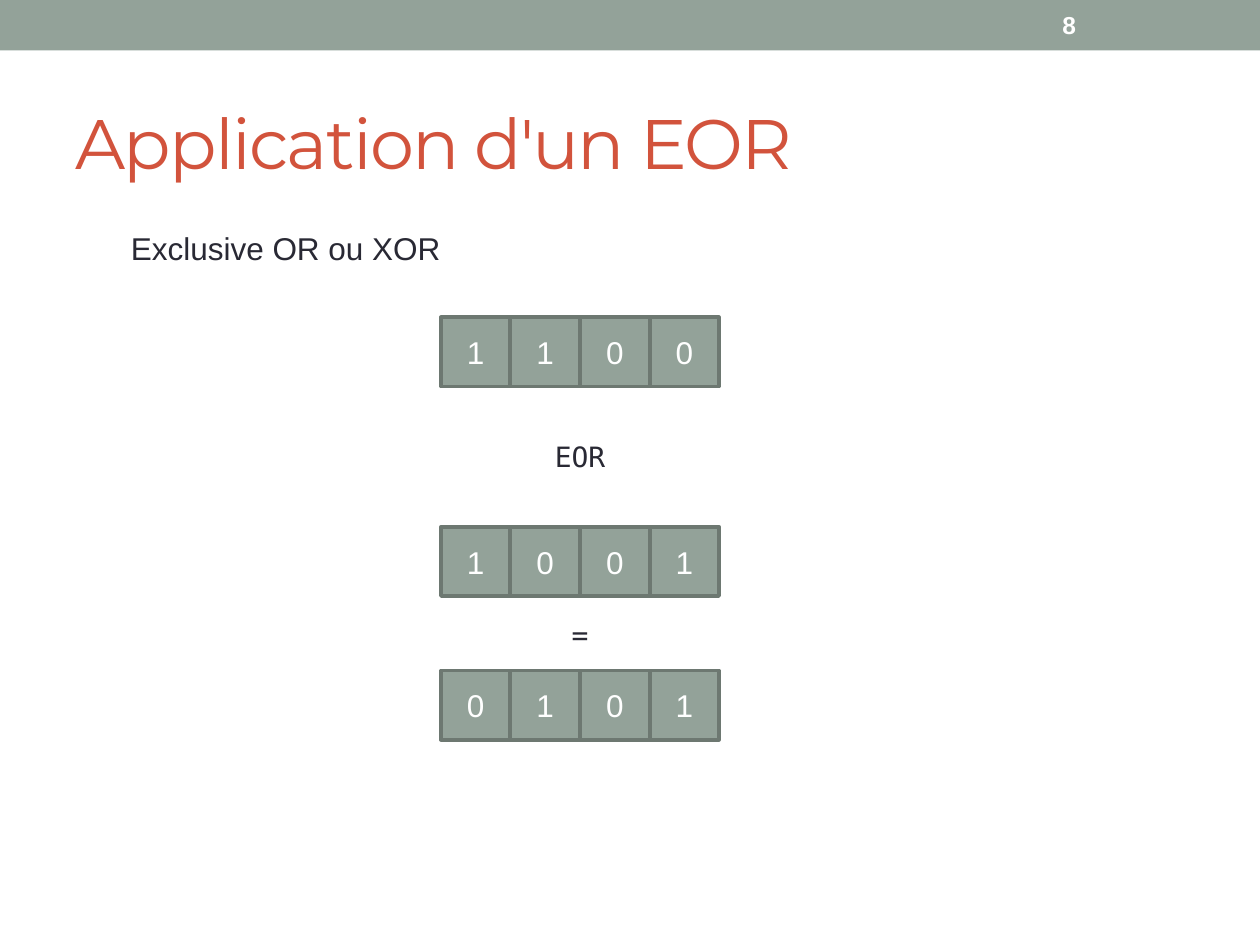
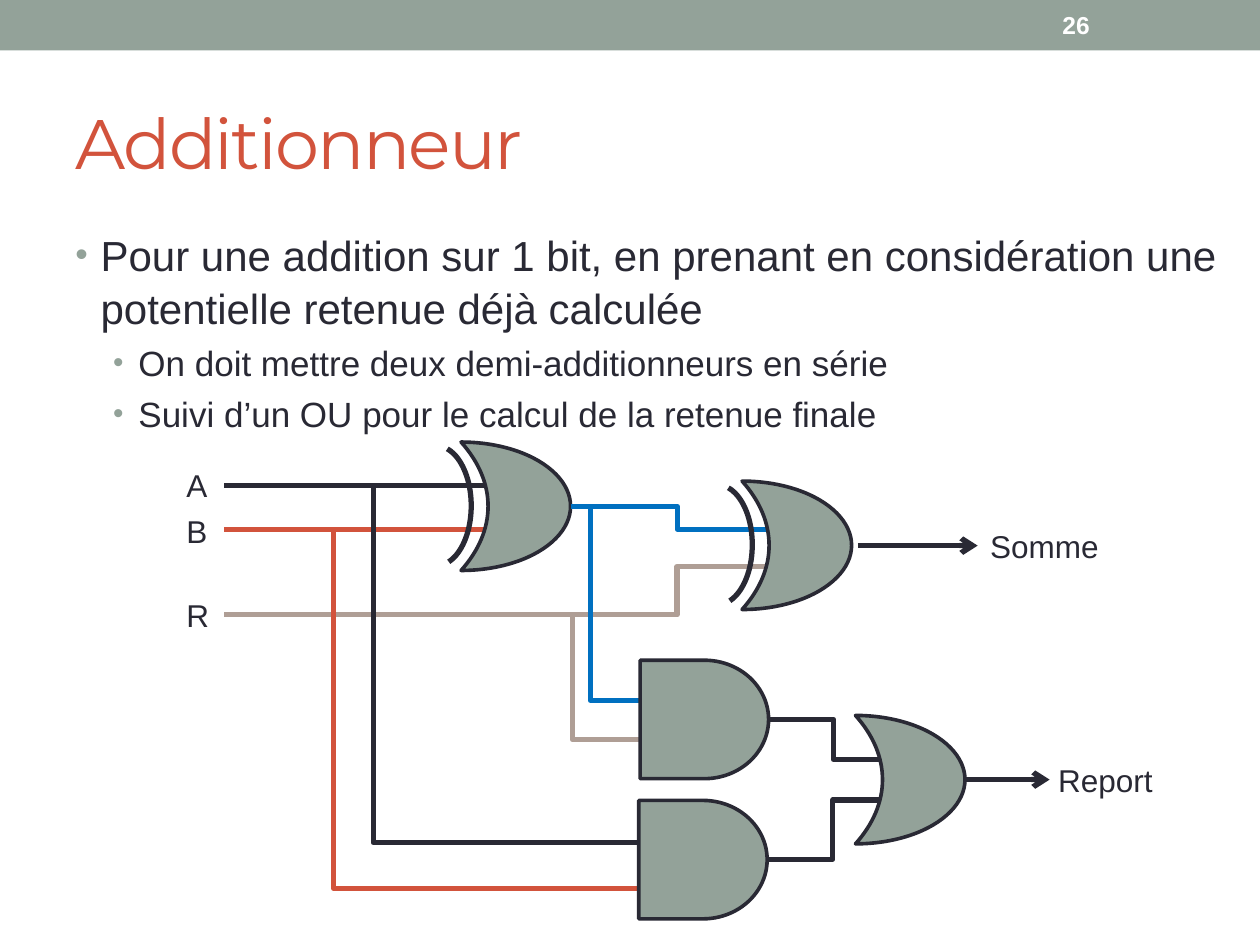
from pptx import Presentation
from pptx.dml.color import RGBColor
from pptx.enum.shapes import MSO_CONNECTOR, MSO_SHAPE
from pptx.enum.text import MSO_ANCHOR, PP_ALIGN
from pptx.oxml.ns import qn
from pptx.util import Pt
from lxml.etree import SubElement

SAGE = RGBColor(0x93, 0xA2, 0x99)
SAGE_DARK = RGBColor(0x6D, 0x78, 0x71)
RUST = RGBColor(0xD2, 0x53, 0x3C)
INK = RGBColor(0x29, 0x29, 0x34)
BLUE = RGBColor(0x00, 0x70, 0xC0)
TAUPE = RGBColor(0xAF, 0x9E, 0x95)
WHITE = RGBColor(0xFF, 0xFF, 0xFF)

SANS, MONO, TITLE_FONT = "Arial", "DejaVu Sans Mono", "Montserrat"
OUTLINE, WIRE = 2.08, 3
BIT_SIZE, BIT_PITCH, BITS_LEFT = 39.6, 39.75, 252
GATE_W, GATE_H = 62.6, 73.4


def add_run(paragraph, text, size, color, font=SANS, bold=False):
    run = paragraph.add_run()
    run.text = text
    run.font.size = Pt(size)
    run.font.name = font
    run.font.bold = bold
    run.font.color.rgb = color
    return run


def add_frame(slide, left, top, width, height, anchor=MSO_ANCHOR.TOP):
    frame = slide.shapes.add_textbox(Pt(left), Pt(top), Pt(width), Pt(height)).text_frame
    frame.word_wrap = True
    frame.vertical_anchor = anchor
    return frame


def add_label(slide, text, left, top, width, size=18, font=SANS, align=PP_ALIGN.LEFT):
    paragraph = add_frame(slide, left, top, width, 28.8).paragraphs[0]
    paragraph.alignment = align
    add_run(paragraph, text, size, INK, font)


def add_block(slide, kind, left, top, width, height, fill=SAGE, line=INK, weight=OUTLINE):
    block = slide.shapes.add_shape(kind, Pt(left), Pt(top), Pt(width), Pt(height))
    block.shadow.inherit = False
    if fill is None:
        block.fill.background()
    else:
        block.fill.solid()
        block.fill.fore_color.rgb = fill
    if line is None:
        block.line.fill.background()
    else:
        block.line.color.rgb = line
        block.line.width = Pt(weight)
    return block


def add_wire(slide, start, end, color=INK, kind=MSO_CONNECTOR.STRAIGHT):
    wire = slide.shapes.add_connector(kind, *(Pt(value) for value in (*start, *end)))
    wire.line.color.rgb = color
    wire.line.width = Pt(WIRE)
    SubElement(wire._element.spPr, qn("a:effectLst"))
    return wire


def add_arrow(slide, start, end):
    wire = add_wire(slide, start, end)
    SubElement(wire.line._get_or_add_ln(), qn("a:tailEnd"), type="arrow")


def add_step(slide, start, end, color=INK, bend=0.5):
    wire = add_wire(slide, start, end, color, MSO_CONNECTOR.ELBOW)
    guides = wire._element.spPr.find(qn("a:prstGeom")).get_or_add_avLst()
    SubElement(guides, qn("a:gd"), name="adj1", fmla=f"val {round(bend * 100000)}")


def add_branch(slide, junction, gate_input, color):
    wire = add_wire(slide, gate_input, junction, color, MSO_CONNECTOR.ELBOW)
    wire._element.spPr.find(qn("a:prstGeom")).set("prst", "bentConnector2")


def add_or_gate(slide, left, top):
    gate = add_block(slide, MSO_SHAPE.MOON, left, top, GATE_W, GATE_H)
    gate.adjustments[0] = 0.753
    gate._element.spPr.find(qn("a:xfrm")).set("flipH", "1")


def add_xor_gate(slide, left, top):
    add_or_gate(slide, left, top)
    arc = add_block(slide, MSO_SHAPE.ARC, left - 33.8, top + 2.2, 39.6, 68.4, None, INK, WIRE)
    arc.adjustments[0] = 168.406
    arc.adjustments[1] = 46.656


def add_and_gate(slide, left, top):
    add_block(slide, MSO_SHAPE.FLOWCHART_DELAY, left, top, 73.4, 67.7)


def add_bits(slide, bits, top):
    for index, bit in enumerate(bits):
        left = BITS_LEFT + index * BIT_PITCH
        cell = add_block(slide, MSO_SHAPE.RECTANGLE, left, top, BIT_SIZE, BIT_SIZE, line=SAGE_DARK)
        cell.text_frame.vertical_anchor = MSO_ANCHOR.MIDDLE
        paragraph = cell.text_frame.paragraphs[0]
        paragraph.alignment = PP_ALIGN.CENTER
        add_run(paragraph, bit, 18, WHITE)


def add_bullet(paragraph, text, size, indent):
    paragraph.space_before = Pt(size * 0.2)
    paragraph.line_spacing = 1.05
    properties = paragraph._p.get_or_add_pPr()
    properties.set("marL", str(Pt(indent)))
    properties.set("indent", str(Pt(-14.4)))
    bullet_color = SubElement(properties, qn("a:buClr"))
    SubElement(bullet_color, qn("a:srgbClr"), val=str(SAGE))
    SubElement(properties, qn("a:buSzPct"), val="85000")
    SubElement(properties, qn("a:buFont"), typeface=SANS)
    SubElement(properties, qn("a:buChar"), char="•")
    add_run(paragraph, text, size, INK)


def add_bullets(slide, points):
    frame = add_frame(slide, 36, 126, 675.4, 399)
    for index, (text, size, indent) in enumerate(points):
        paragraph = frame.add_paragraph() if index else frame.paragraphs[0]
        add_bullet(paragraph, text, size, indent)


def start_slide(deck, title, number):
    slide = deck.slides.add_slide(deck.slide_layouts[6])
    add_block(slide, MSO_SHAPE.RECTANGLE, 0, 0, 720, 28.8, line=None)
    heading = add_frame(slide, 36, 41.8, 648, 77.8, MSO_ANCHOR.MIDDLE)
    run = add_run(heading.paragraphs[0], title, 40, RUST, TITLE_FONT)
    run.font._element.set("spc", "-100")
    page = add_frame(slide, 600, 1.4, 84, 26, MSO_ANCHOR.MIDDLE)
    add_run(page.paragraphs[0], number, 14, WHITE, bold=True)
    return slide


def build_eor(deck):
    slide = start_slide(deck, "Application d'un EOR", "8")
    add_label(slide, "Exclusive OR ou XOR", 67.7, 127.4, 204)
    for bits, top in (("1100", 181.3), ("1001", 301), ("0101", 383.2)):
        add_bits(slide, bits, top)
    for operator, top in (("EOR", 247.7), ("=", 349.4)):
        add_label(slide, operator, 300.5, top, 62, 16, MONO, PP_ALIGN.CENTER)


def build_adder(deck):
    slide = start_slide(deck, "Additionneur", "26")
    add_bullets(slide, [
        ("Pour une addition sur 1 bit, en prenant en considération une "
         "potentielle retenue déjà calculée", 24, 14.4),
        ("On doit mettre deux demi-additionneurs en série", 20, 36),
        ("Suivi d’un OU pour le calcul de la retenue finale", 20, 36),
    ])
    for text, left, top, width in (
        ("A", 99.4, 262.8, 28.8), ("B", 99.4, 288.9, 28.8), ("R", 99.4, 337, 28.8),
        ("Somme", 558.7, 297.4, 90.7), ("Report", 597.6, 431.3, 73.4),
    ):
        add_label(slide, text, left, top, width)

    add_wire(slide, (128.2, 277.4), (298.1, 277.4))
    add_wire(slide, (128.2, 302.4), (298.1, 302.4), RUST)
    add_xor_gate(slide, 263.5, 252.6)
    add_arrow(slide, (490.3, 311.8), (558.7, 311.8))
    add_arrow(slide, (551.5, 445.5), (599.8, 445.5))
    add_step(slide, (326.2, 289.4), (447.8, 302.4), BLUE)
    add_step(slide, (128.2, 351.4), (441.4, 323.8), TAUPE, 0.826)
    add_xor_gate(slide, 424.1, 274.9)

    for junction, gate_input, color in (
        ((337.4, 289.4), (365.8, 400.3), BLUE),
        ((327, 352.1), (372.2, 422.6), TAUPE),
        ((213.3, 277.4), (375.1, 481.5), INK),
        ((190.6, 303.8), (378, 507.6), RUST),
    ):
        add_branch(slide, junction, gate_input, color)
    add_and_gate(slide, 365.8, 377.3)
    add_and_gate(slide, 365, 457.4)
    add_step(slide, (439.2, 411.1), (513.4, 434))
    add_step(slide, (438.5, 491), (513.4, 457.2))
    add_or_gate(slide, 488.9, 408.8)


def main():
    deck = Presentation()
    deck.slide_width, deck.slide_height = Pt(720), Pt(540)
    build_eor(deck)
    build_adder(deck)
    deck.save("out.pptx")


if __name__ == "__main__":
    main()
